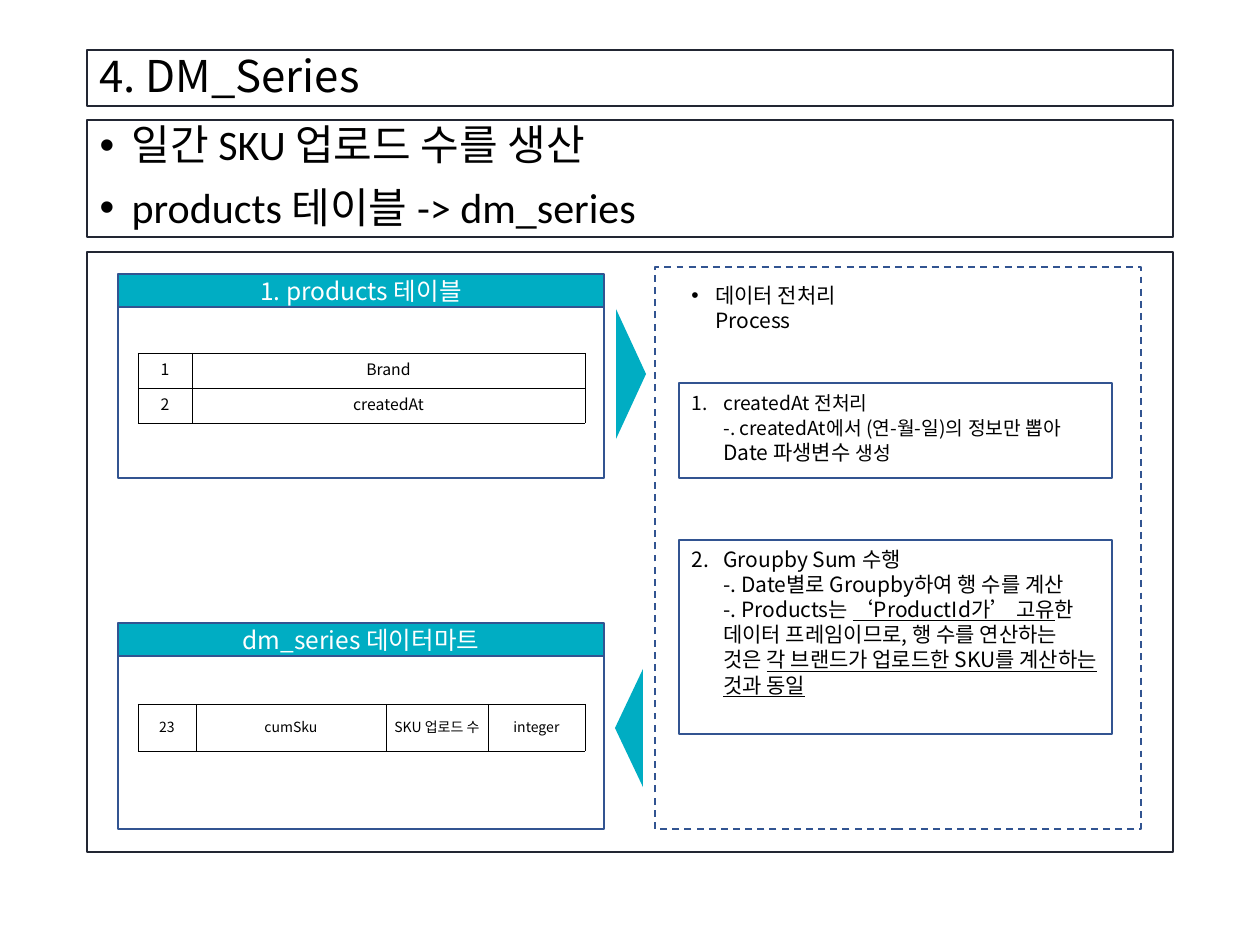
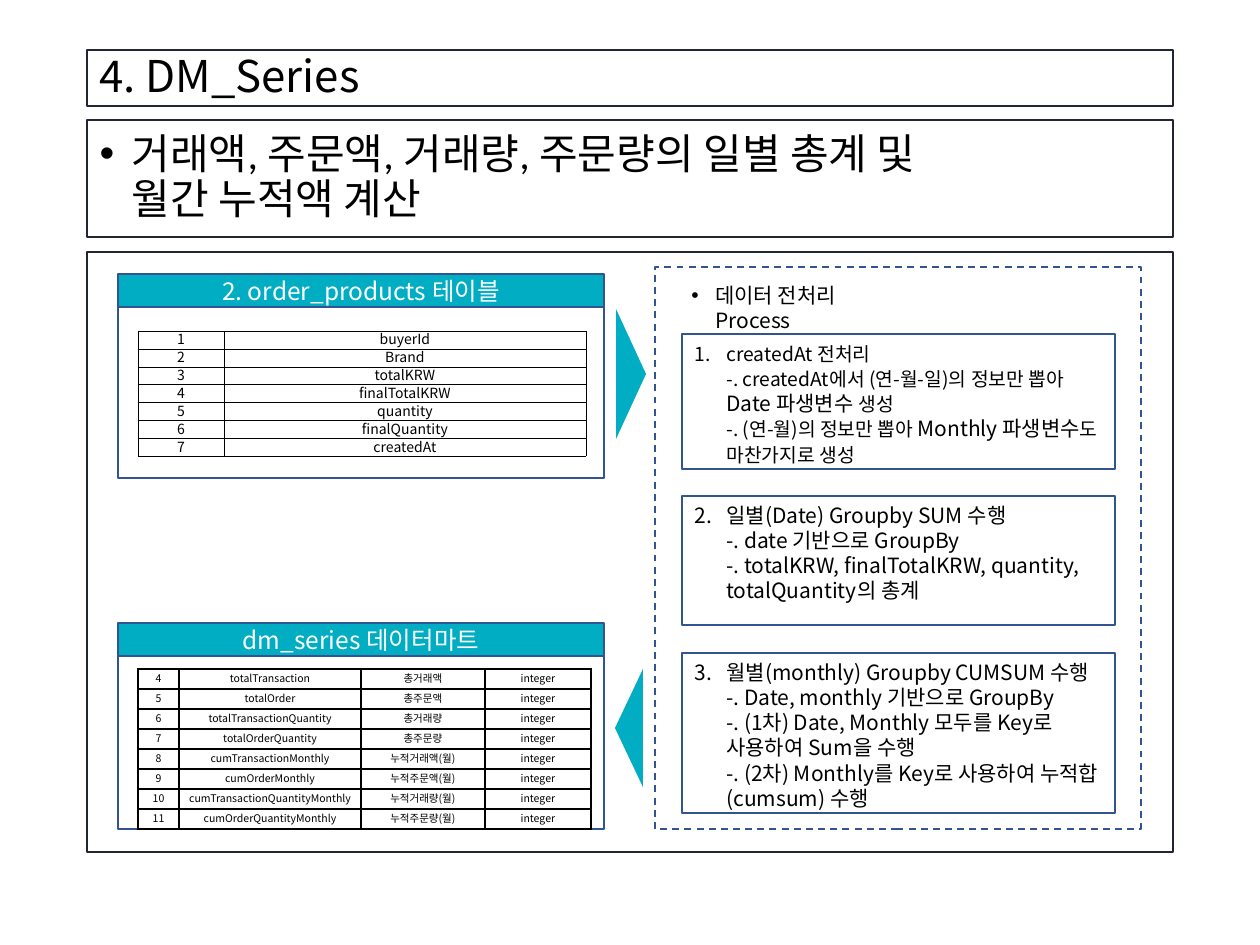
from lxml.etree import SubElement
from pptx import Presentation
from pptx.dml.color import RGBColor
from pptx.enum.dml import MSO_LINE
from pptx.enum.shapes import MSO_SHAPE
from pptx.enum.text import MSO_ANCHOR, MSO_AUTO_SIZE, PP_ALIGN
from pptx.oxml.ns import qn
from pptx.util import Emu, Inches, Pt

TEAL = RGBColor(0x00, 0xAD, 0xC3)
BLUE = RGBColor(0x32, 0x54, 0x91)
INK = RGBColor(0x22, 0x26, 0x33)
BLACK = RGBColor(0x00, 0x00, 0x00)
WHITE = RGBColor(0xFF, 0xFF, 0xFF)
NOTO = "Noto Sans CJK KR"
BODY_FONT = "Calibri"
PIXELS_PER_INCH = 126
LINE_HEIGHT = 1.2
PANEL_LEFT, PANEL_WIDTH, HEADER_HEIGHT = 118, 486, 33
TABLE_LEFT = 138
STEP_WIDTH = 433


def px(length):
    return Emu(round(length * 914400 / PIXELS_PER_INCH))


def place(shape, left, top, width, height):
    shape.left, shape.top = px(left), px(top)
    shape.width, shape.height = px(width), px(height)


def format_run(run, size, color=BLACK, font=NOTO):
    run.font.size = Pt(size)
    run.font.color.rgb = color
    run.font.name = font
    SubElement(run.font._element, qn("a:ea"), typeface=font)


def format_paragraph(paragraph, size, color=BLACK, font=NOTO):
    for run in paragraph.runs:
        format_run(run, size, color, font)
    for line_break in paragraph._p.findall(qn("a:br")):
        SubElement(line_break, qn("a:rPr"), sz=str(round(size * 100)))


def set_bullet(paragraph, indent, number=None):
    properties = paragraph._p.get_or_add_pPr()
    properties.set("marL", str(px(indent)))
    properties.set("indent", str(-px(indent)))
    if number:
        SubElement(properties, qn("a:buAutoNum"), type="arabicPeriod", startAt=str(number))
    else:
        SubElement(properties, qn("a:buFont"), typeface="Arial")
        SubElement(properties, qn("a:buChar"), char="•")


def add_box(slide, frame, fill=None, line=BLUE, width=1, kind=MSO_SHAPE.RECTANGLE):
    shape = slide.shapes.add_shape(kind, *map(px, frame))
    shape.shadow.inherit = False
    if fill:
        shape.fill.solid()
        shape.fill.fore_color.rgb = fill
    else:
        shape.fill.background()
    if line:
        shape.line.color.rgb = line
        shape.line.width = Pt(width)
    else:
        shape.line.fill.background()
    return shape


def add_arrow(slide, frame, rotation):
    arrow = add_box(slide, frame, TEAL, None, kind=MSO_SHAPE.ISOSCELES_TRIANGLE)
    arrow.rotation = rotation


def add_panel(slide, title, top, height):
    header = add_box(slide, (PANEL_LEFT, top, PANEL_WIDTH, HEADER_HEIGHT), TEAL)
    header.text_frame.text = title
    paragraph = header.text_frame.paragraphs[0]
    paragraph.alignment = PP_ALIGN.CENTER
    format_paragraph(paragraph, 14, WHITE)
    add_box(slide, (PANEL_LEFT, top + HEADER_HEIGHT, PANEL_WIDTH, height))


def format_placeholder(shape, frame, text, size, font):
    place(shape, *frame)
    shape.line.color.rgb = INK
    shape.line.width = Pt(0.75)
    text_frame = shape.text_frame
    text_frame.text = text
    text_frame.auto_size = MSO_AUTO_SIZE.NONE
    text_frame.vertical_anchor = MSO_ANCHOR.MIDDLE
    for paragraph in text_frame.paragraphs:
        paragraph.alignment = PP_ALIGN.LEFT
        paragraph.line_spacing = 0.9
        format_paragraph(paragraph, size, BLACK, font)


def add_process_label(slide):
    label = slide.shapes.add_textbox(px(679), px(276), px(253), px(38))
    text_frame = label.text_frame
    text_frame.word_wrap = True
    text_frame.margin_right = px(30)
    text_frame.text = "데이터 전처리 Process"
    paragraph = text_frame.paragraphs[0]
    paragraph.line_spacing = Pt(12 * LINE_HEIGHT)
    set_bullet(paragraph, 24)
    format_paragraph(paragraph, 12)


def add_step(slide, number, left, top, height, segments):
    box = add_box(slide, (left, top, STEP_WIDTH, height))
    text_frame = box.text_frame
    text_frame.vertical_anchor = MSO_ANCHOR.TOP
    paragraph = text_frame.paragraphs[0]
    paragraph.alignment = PP_ALIGN.LEFT
    paragraph.line_spacing = Pt(12 * LINE_HEIGHT)
    set_bullet(paragraph, 32, number)
    for text, size, underlined in segments:
        for index, line in enumerate(text.split("\n")):
            if index:
                paragraph.add_line_break()
            run = paragraph.add_run()
            run.text = line
            format_run(run, size)
            if underlined:
                run.font.underline = True
    for line_break in paragraph._p.findall(qn("a:br")):
        SubElement(line_break, qn("a:rPr"), sz="1100")


def set_borders(cell, width):
    properties = cell._tc.get_or_add_tcPr()
    for side in ("a:lnL", "a:lnR", "a:lnT", "a:lnB"):
        line = SubElement(properties, qn(side), w=str(Pt(width)))
        fill = SubElement(line, qn("a:solidFill"))
        SubElement(fill, qn("a:srgbClr"), val=str(BLACK))


def add_grid(slide, top, column_widths, row_height, rows, size, border=0.25):
    frame = slide.shapes.add_table(
        len(rows), len(column_widths), px(TABLE_LEFT), px(top),
        px(sum(column_widths)), px(row_height * len(rows)))
    table = frame.table
    table.first_row = table.horz_banding = False
    for column, width in zip(table.columns, column_widths):
        column.width = px(width)
    for row, values in zip(table.rows, rows):
        row.height = px(row_height)
        for cell, value in zip(row.cells, values):
            cell.margin_left = cell.margin_right = cell.margin_top = px(1)
            cell.margin_bottom = 0
            cell.vertical_anchor = MSO_ANCHOR.MIDDLE
            set_borders(cell, border)
            cell.fill.background()
            cell.text = value
            paragraph = cell.text_frame.paragraphs[0]
            paragraph.alignment = PP_ALIGN.CENTER
            paragraph.line_spacing = Pt(size * LINE_HEIGHT)
            format_paragraph(paragraph, size)


def add_series_slide(presentation, summary, source_title):
    slide = presentation.slides.add_slide(presentation.slide_layouts[1])
    title, body = slide.placeholders
    format_placeholder(title, (87, 50, 1086, 56), "4. DM_Series", 25, NOTO)
    format_placeholder(body, (87, 120, 1086, 117), summary, 24, BODY_FONT)
    for paragraph in body.text_frame.paragraphs:
        paragraph.space_before = Pt(10)
        set_bullet(paragraph, 32)
    add_box(slide, (87, 252, 1086, 600), line=INK, width=0.75)
    add_panel(slide, source_title, 274, 171)
    add_panel(slide, "dm_series 데이터마트", 623, 173)
    process = add_box(slide, (655, 267, 486, 562))
    process.line.dash_style = MSO_LINE.DASH
    add_process_label(slide)
    add_arrow(slide, (566, 359, 130, 30), 90)
    add_arrow(slide, (570, 714, 118, 28), 270)
    return slide


def add_upload_slide(presentation):
    slide = add_series_slide(
        presentation,
        "일간 SKU 업로드 수를 생산\nproducts 테이블 -> dm_series",
        "1. products 테이블")
    add_grid(slide, 353, (54, 393), 35, [("1", "Brand"), ("2", "createdAt")], 9)
    add_grid(slide, 704, (58, 190, 102, 97), 47,
             [("23", "cumSku", "SKU 업로드 수", "integer")], 8)
    add_step(slide, 1, 679, 383, 95, [
        ("createdAt 전처리\n-. createdAt에서 (연-월-일)의 정보만 뽑아 ", 11, False),
        ("Date 파생변수 ", 12, False),
        ("생성", 11, False)])
    add_step(slide, 2, 679, 540, 194, [
        ("Groupby Sum 수행\n-. Date별로 Groupby하여 행 수를 계산\n-. Products는 ", 12, False),
        ("‘ProductId가’ 고유", 12, True),
        ("한 데이터 프레임이므로, 행 수를 연산하는 것은 ", 12, False),
        ("각 브랜드가 업로드한 SKU를 계산하는 것과 동일", 12, True)])


def add_totals_slide(presentation):
    slide = add_series_slide(
        presentation,
        "거래액, 주문액, 거래량, 주문량의 일별 총계 및 \v월간 누적액 계산",
        "2. order_products 테이블")
    source_fields = ("buyerId", "Brand", "totalKRW", "finalTotalKRW",
                     "quantity", "finalQuantity", "createdAt")
    add_grid(slide, 331, (86, 362), 17,
             [(str(number), field) for number, field in enumerate(source_fields, 1)], 8)
    mart_fields = (
        ("totalTransaction", "총거래액"),
        ("totalOrder", "총주문액"),
        ("totalTransactionQuantity", "총거래량"),
        ("totalOrderQuantity", "총주문량"),
        ("cumTransactionMonthly", "누적거래액(월)"),
        ("cumOrderMonthly", "누적주문액(월)"),
        ("cumTransactionQuantityMonthly", "누적거래량(월)"),
        ("cumOrderQuantityMonthly", "누적주문량(월)"))
    add_grid(slide, 669, (41, 182, 124, 106), 20,
             [(str(number), field, meaning, "integer")
              for number, (field, meaning) in enumerate(mart_fields, 4)], 6, border=1)
    add_step(slide, 1, 682, 334, 135, [
        ("createdAt 전처리\n-. createdAt에서 (연-월-일)의 정보만 뽑아 ", 11, False),
        ("Date 파생변수 ", 12, False),
        ("생성\n-. (연-월)의 정보만 뽑아 ", 11, False),
        ("Monthly 파생변수", 12, False),
        ("도 마찬가지로 생성", 11, False)])
    add_step(slide, 2, 682, 496, 129, [
        ("일별(Date) Groupby SUM 수행\n-. date 기반으로 GroupBy\n"
         "-. totalKRW, finalTotalKRW, quantity, totalQuantity의 총계", 12, False)])
    add_step(slide, 3, 682, 653, 160, [
        ("월별(monthly) Groupby CUMSUM 수행\n-. Date, monthly 기반으로 GroupBy\n"
         "-. (1차) Date, Monthly 모두를 Key로 사용하여 Sum을 수행\n"
         "-. (2차) Monthly를 Key로 사용하여 누적합(cumsum) 수행", 12, False)])


def main():
    presentation = Presentation()
    presentation.slide_width = Inches(10)
    presentation.slide_height = Inches(7.5)
    add_upload_slide(presentation)
    add_totals_slide(presentation)
    presentation.save("out.pptx")


if __name__ == "__main__":
    main()
